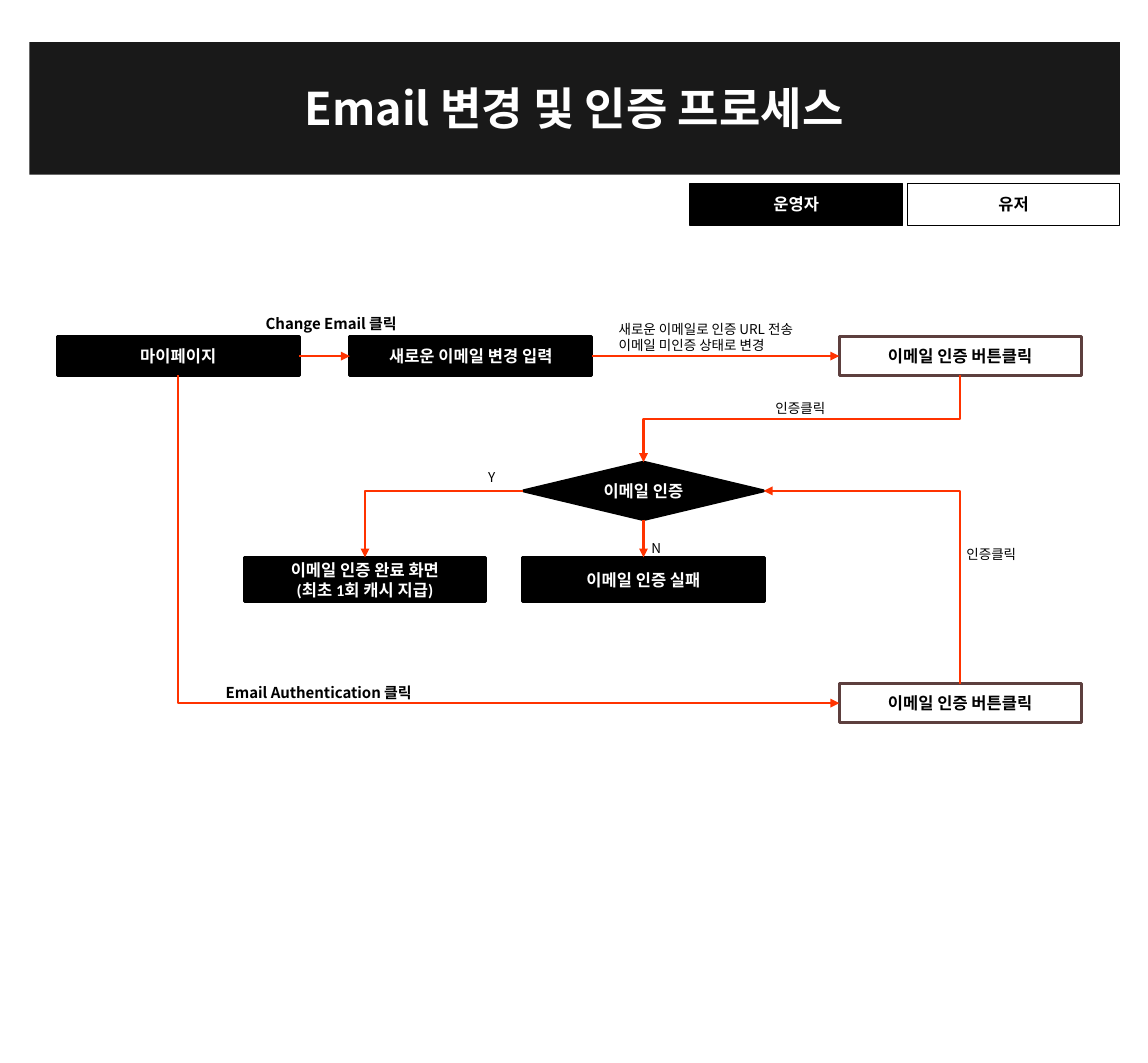
import dataclasses

import pptx
import pptx.dml.color
import pptx.enum.shapes
import pptx.enum.text
import pptx.oxml.ns
import pptx.oxml.xmlchemy
import pptx.util

Cm = pptx.util.Cm
Pt = pptx.util.Pt
qn = pptx.oxml.ns.qn
OxmlElement = pptx.oxml.xmlchemy.OxmlElement
MSO_SHAPE = pptx.enum.shapes.MSO_SHAPE
MSO_CONNECTOR = pptx.enum.shapes.MSO_CONNECTOR
PP_ALIGN = pptx.enum.text.PP_ALIGN
MSO_ANCHOR = pptx.enum.text.MSO_ANCHOR
MSO_AUTO_SIZE = pptx.enum.text.MSO_AUTO_SIZE


@dataclasses.dataclass
class Theme:
    black: str = "000000"
    white: str = "FFFFFF"
    banner: str = "191919"
    user_line: str = "5D3F3E"
    arrow: str = "FF3300"
    box_font: str = "Calibri"
    korean_font: str = "Noto Sans CJK KR"
    title_size: int = 30
    box_size: int = 11
    action_size: int = 10
    label_size: int = 9
    legend_line: float = 0.75
    box_line: float = 2
    arrow_line: float = 1.5


def rgb(color):
    return pptx.dml.color.RGBColor.from_string(color)


def side(s, edge):
    """Middle point of the left, right, top or bottom edge of a shape."""
    cx, cy = s.left + s.width // 2, s.top + s.height // 2
    return {"l": (s.left, cy), "r": (s.left + s.width, cy),
            "t": (cx, s.top), "b": (cx, s.top + s.height)}[edge]


class FlowSlide:
    def __init__(self, prs, theme):
        self.theme = theme
        self.slide = prs.slides.add_slide(prs.slide_layouts[5])
        self.shapes = self.slide.shapes

    def set_text(self, tf, text, size, color, font, bold=False, align=PP_ALIGN.LEFT, spacing=1.0):
        tf.text = text
        for p in tf.paragraphs:
            p.alignment = align
            p.line_spacing = spacing
            for r in p.runs:
                r.font.name = font
                r.font.size = Pt(size)
                r.font.bold = bold
                r.font.color.rgb = rgb(color)
                ea = OxmlElement("a:ea")
                ea.set("typeface", self.theme.korean_font)
                r.font._element.find(qn("a:latin")).addnext(ea)

    def shape(self, kind, x, y, w, h, fill, line=None, line_width=0):
        s = self.shapes.add_shape(kind, Cm(x), Cm(y), Cm(w), Cm(h))
        s.shadow.inherit = False
        s.fill.solid()
        s.fill.fore_color.rgb = rgb(fill)
        if line:
            s.line.color.rgb = rgb(line)
            s.line.width = Pt(line_width)
        else:
            s.line.fill.background()
        return s

    def title(self, text):
        t = self.theme
        self.shape(MSO_SHAPE.RECTANGLE, 0.69, 0.99, 25.65, 3.12, t.banner)
        s = self.shapes.title
        s.left, s.top, s.width, s.height = Cm(1.35), Cm(0.99), Cm(24.31), Cm(3.07)
        tf = s.text_frame
        tf.auto_size = MSO_AUTO_SIZE.NONE
        tf.vertical_anchor = MSO_ANCHOR.MIDDLE
        self.set_text(tf, text, t.title_size, t.white, t.korean_font, True, PP_ALIGN.CENTER)
        self.shapes._spTree.append(s._element)

    def box(self, text, x, y, w=5.69, h=0.91, kind=MSO_SHAPE.RECTANGLE,
            user=False, line=None, line_width=None, spacing=1.0):
        """A black box for a service step, or a white one for a user step."""
        t = self.theme
        fill, color = (t.white, t.black) if user else (t.black, t.white)
        line = line or (t.user_line if user else t.black)
        s = self.shape(kind, x, y, w, h, fill, line, line_width or t.box_line)
        tf = s.text_frame
        tf.word_wrap = True
        tf.vertical_anchor = MSO_ANCHOR.MIDDLE
        self.set_text(tf, text, t.box_size, color, t.box_font, True, PP_ALIGN.CENTER, spacing)
        return s

    def legend(self, text, x, user):
        t = self.theme
        self.box(text, x, 4.32, 5, 0.99, user=user, line=t.black,
                 line_width=t.legend_line, spacing=0.9)

    def label(self, text, x, y, w, h=0.38, wrap=False, action=False):
        """A note beside an arrow; an action is bold on white."""
        t = self.theme
        s = self.shapes.add_textbox(Cm(x), Cm(y), Cm(w), Cm(h))
        if action:
            s.fill.solid()
            s.fill.fore_color.rgb = rgb(t.white)
        tf = s.text_frame
        tf.margin_left = tf.margin_right = tf.margin_top = tf.margin_bottom = 0
        tf.word_wrap = wrap or action
        tf.auto_size = MSO_AUTO_SIZE.SHAPE_TO_FIT_TEXT
        self.set_text(tf, text, t.action_size if action else t.label_size,
                      t.black, t.korean_font, action)

    def arrow(self, a, a_edge, b, b_edge):
        """Arrow between two edges: straight if they line up, else with right angles."""
        (x1, y1), (x2, y2) = side(a, a_edge), side(b, b_edge)
        dx, dy = x2 - x1, y2 - y1
        straight = min(abs(dx), abs(dy)) < Cm(0.02)
        turned = not straight and a_edge in "tb"
        if turned:
            # A connector leaves sideways, so a vertical start is a box turned by 90 degrees.
            cx, cy, w, h = (x1 + x2) // 2, (y1 + y2) // 2, abs(dy), abs(dx)
            if (dx > 0) == (dy > 0):
                h = -h
            x1, y1, x2, y2 = cx - w // 2, cy - h // 2, cx + w // 2, cy + h // 2
        kind = MSO_CONNECTOR.STRAIGHT if straight else MSO_CONNECTOR.ELBOW
        c = self.shapes.add_connector(kind, x1, y1, x2, y2)
        c.line.color.rgb = rgb(self.theme.arrow)
        c.line.width = Pt(self.theme.arrow_line)
        spPr = c._element.spPr
        if turned:
            spPr.find(qn("a:xfrm")).set("rot", str((90 if dy > 0 else 270) * 60000))
        if not straight and (a_edge in "tb") != (b_edge in "tb"):
            spPr.find(qn("a:prstGeom")).set("prst", "bentConnector2")
        head = OxmlElement("a:tailEnd")
        head.set("type", "triangle")
        spPr.find(qn("a:ln")).append(head)
        spPr.append(OxmlElement("a:effectLst"))


def main():
    prs = pptx.Presentation()
    prs.slide_width, prs.slide_height = Cm(27), Cm(25)
    s = FlowSlide(prs, Theme())

    s.title("Email 변경 및 인증 프로세스")
    s.legend("유저", 21.34, True)
    s.legend("운영자", 16.23, False)

    process = MSO_SHAPE.FLOWCHART_PROCESS
    my_page = s.box("마이페이지", 1.35, 7.92)
    new_email = s.box("새로운 이메일 변경 입력", 8.23, 7.92)
    click_new, click_auth = [s.box("이메일 인증 버튼클릭", 19.74, y, user=True)
                             for y in (7.92, 16.08)]
    done = s.box("이메일 인증 완료 화면\n(최초 1회 캐시 지급)", 5.74, 13.11, h=1.04, kind=process)
    failed = s.box("이메일 인증 실패", 12.29, 13.11, h=1.04, kind=process)
    check = s.box("이메일 인증", 12.31, 10.87, 5.65, 1.35, MSO_SHAPE.FLOWCHART_DECISION)

    s.label("Change Email 클릭", 6.25, 7.39, 3.5, 0.43, action=True)
    s.label("Email Authentication 클릭", 5.31, 16.08, 4.65, 0.43, action=True)
    s.label("새로운 이메일로 인증 URL 전송\n이메일 미인증 상태로 변경", 14.55, 7.54, 4.55, 0.76)
    s.label("인증클릭", 18.24, 9.4, 1.27)
    s.label("인증클릭", 22.73, 12.85, 1.27)
    s.label("Y", 11.48, 11.02, 0.38, wrap=True)
    s.label("N", 15.32, 12.7, 0.38, wrap=True)

    for a, a_edge, b, b_edge in [
        (my_page, "r", new_email, "l"),
        (new_email, "r", click_new, "l"),
        (click_new, "b", check, "t"),
        (check, "l", done, "t"),
        (check, "b", failed, "t"),
        (my_page, "b", click_auth, "l"),
        (click_auth, "t", check, "r"),
    ]:
        s.arrow(a, a_edge, b, b_edge)

    prs.save("out.pptx")


if __name__ == "__main__":
    main()
